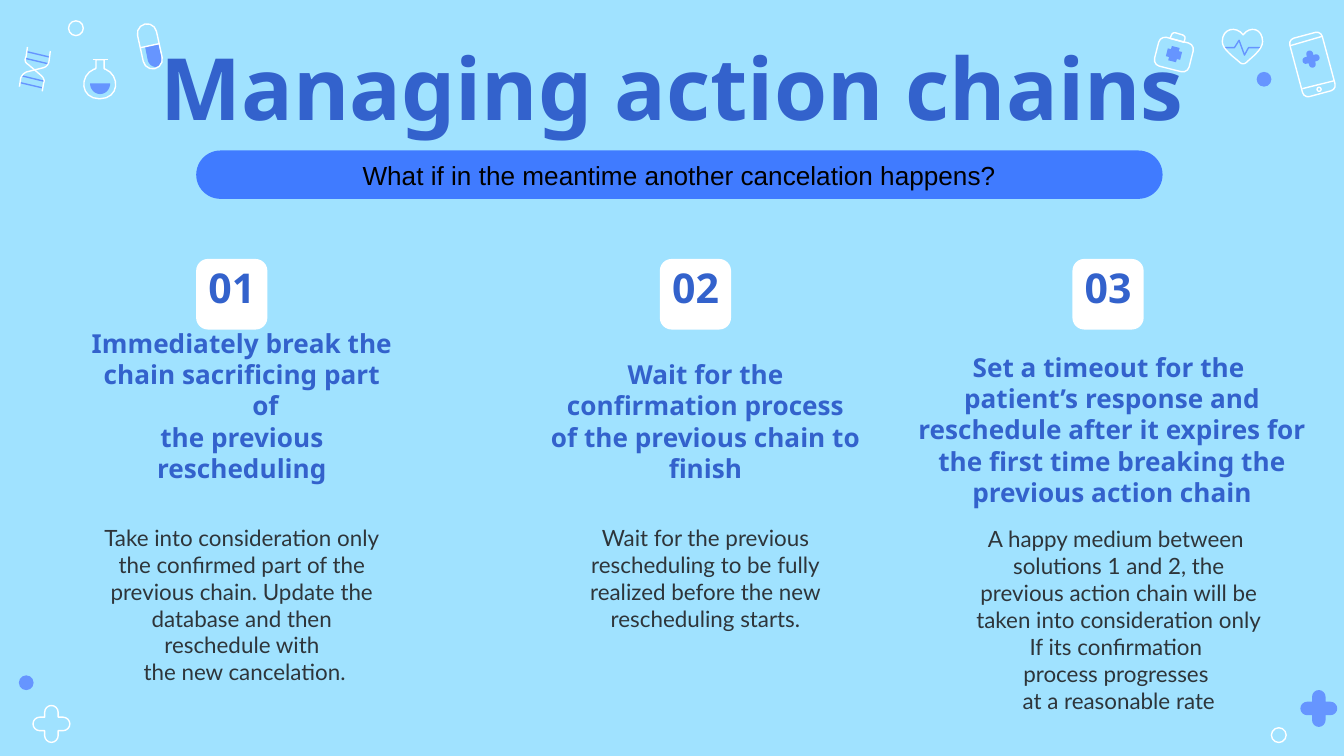
import math

import pptx
import pptx.dml.color
import pptx.enum.shapes
import pptx.enum.text
import pptx.oxml.ns
import pptx.util
from lxml import etree

RGBColor = pptx.dml.color.RGBColor
SHAPES = pptx.enum.shapes.MSO_SHAPE
ANCHOR = pptx.enum.text.MSO_ANCHOR

SKY = RGBColor(0xA0, 0xE2, 0xFF)
WHITE = RGBColor(0xFF, 0xFF, 0xFF)
BLACK = RGBColor(0x00, 0x00, 0x00)
PERIWINKLE = RGBColor(0x66, 0x95, 0xFF)
BANNER_BLUE = RGBColor(0x40, 0x7B, 0xFF)
HEADING_BLUE = RGBColor(0x33, 0x62, 0xCC)
SLATE = RGBColor(0x2E, 0x35, 0x3A)

# The slide is a grid of 100 columns by 56.25 rows
COLUMNS, ROWS = 100, 56.25
CELL = pptx.util.Inches(0.1)

TITLE = {"name": "Noto Sans", "size": pptx.util.Pt(46), "bold": True}
NUMBER = {"name": "Noto Sans", "size": pptx.util.Pt(22), "bold": True}
HEADING = {"name": "Noto Sans", "size": pptx.util.Pt(14), "bold": True}
BODY = {"name": "Lato", "size": pptx.util.Pt(12)}
QUESTION = {"name": "Arial", "size": pptx.util.Pt(14)}

# Badge column, heading box, body box, heading lines, body lines
OPTIONS = [
    (14.6, (4, 25.9, 26.5, 14.8), (5.25, 38, 24, 14.7),
     ["Immediately break the", "chain sacrificing part of", "the previous",
      "rescheduling"],
     ["Take into consideration only", "the confirmed part of the",
      "previous chain. Update the", "database and then", "reschedule with",
      " the new cancelation."]),
    (49.1, (38.5, 25.9, 26.5, 14.8), (39.75, 38, 24, 10.6),
     ["Wait for the", "confirmation process", "of the previous chain to",
      "finish"],
     ["Wait for the previous", "rescheduling to be fully",
      "realized before the new", "rescheduling starts."]),
    (79.8, (65.6, 25.9, 32.8, 16.6), (69.7, 38.1, 25.6, 16.6),
     ["Set a timeout for the ", "patient’s response and",
      "reschedule after it expires for", "the first time breaking the",
      "previous action chain"],
     ["A happy medium between ", "solutions 1 and 2, the",
      "previous action chain will be", "taken into consideration only",
      "If its confirmation ", "process progresses ", "at a reasonable rate"]),
]


def cells(*counts):
    return [round(count * CELL) for count in counts]


def paint(shape, fill=None, line=None):
    shape.shadow.inherit = False
    if fill is None:
        shape.fill.background()
    else:
        shape.fill.solid()
        shape.fill.fore_color.rgb = fill
    if line is None:
        shape.line.fill.background()
    else:
        shape.line.color.rgb = line
        shape.line.width = pptx.util.Pt(0.75)


def add_preset(slide, kind, box, fill=None, line=None, rotation=0, corner=None):
    shape = slide.shapes.add_shape(kind, *cells(*box))
    paint(shape, fill, line)
    shape.rotation = rotation
    if corner is not None:
        shape.adjustments[0] = corner
    return shape


def add_stroke(slide, start, end, color=WHITE):
    connector = slide.shapes.add_connector(
        pptx.enum.shapes.MSO_CONNECTOR.STRAIGHT, *cells(*start, *end))
    connector.line.color.rgb = color
    connector.line.width = pptx.util.Pt(0.75)
    etree.SubElement(connector._element.spPr, pptx.oxml.ns.qn("a:effectLst"))


def add_outline(slide, points, fill=None, line=None, closed=True):
    """Points are (x, y) corners or (x1, y1, x2, y2, x, y) Bézier curves."""
    track = [points[0]]
    for point in points[1:]:
        if len(point) == 2:
            track.append(point)
            continue
        controls = [track[-1], point[:2], point[2:4], point[4:]]
        for step in range(1, 9):
            t = step / 8
            weights = [(1 - t) ** 3, 3 * t * (1 - t) ** 2,
                       3 * t * t * (1 - t), t ** 3]
            track.append(tuple(sum(w * c[axis] for w, c in zip(weights, controls))
                               for axis in (0, 1)))
    builder = slide.shapes.build_freeform(*cells(*track[0]), scale=1.0)
    builder.add_line_segments([cells(*point) for point in track[1:]], close=closed)
    paint(builder.convert_to_shape(), fill, line)


def add_cross(slide, center, reach, radius, turn=0, **colors):
    """A plus sign whose four arms end in half circles."""
    points = []
    for arm in range(4):
        angle = math.radians(90 * arm + turn)
        x = center[0] + (reach - radius) * math.cos(angle)
        y = center[1] + (reach - radius) * math.sin(angle)
        for step in range(-4, 5):
            bend = angle + step * math.pi / 8
            points.append((x + radius * math.cos(bend), y + radius * math.sin(bend)))
        corner = angle + math.pi / 4
        points.append((center[0] + radius * math.sqrt(2) * math.cos(corner),
                       center[1] + radius * math.sqrt(2) * math.sin(corner)))
    add_outline(slide, points, **colors)


def write(shape, lines, font, color, anchor=ANCHOR.TOP, bottom=1, hanging=False):
    frame = shape.text_frame
    margins = dict(zip(("margin_left", "margin_top", "margin_right",
                        "margin_bottom"), cells(1, 1, 1, bottom)))
    for name, value in {"word_wrap": True, "vertical_anchor": anchor,
                        **margins}.items():
        setattr(frame, name, value)
    for index, text in enumerate(lines):
        paragraph = frame.add_paragraph() if index else frame.paragraphs[0]
        paragraph.alignment = pptx.enum.text.PP_ALIGN.CENTER
        if hanging:
            properties = paragraph._p.get_or_add_pPr()
            for name, value in zip(("marL", "indent"), cells(5, -3.5)):
                properties.set(name, str(value))
        run = paragraph.add_run()
        run.text = text
        for name, value in font.items():
            setattr(run.font, name, value)
        run.font.color.rgb = color


def add_text(slide, box, lines, font, color, **layout):
    write(slide.shapes.add_textbox(*cells(*box)), lines, font, color, **layout)


def draw_left_icons(slide):
    # DNA
    for start, end in [((2, 3.85), (3.7, 4.25)), ((1.9, 4.35), (3.6, 4.75)),
                       ((1.65, 5.65), (3.3, 6.05)), ((1.5, 6.15), (3.2, 6.55))]:
        add_stroke(slide, start, end, PERIWINKLE)
    for strand in [
            [(2.05, 3.5), (1.95, 4.2), (1.8, 4.5, 1.9, 4.7, 2.1, 4.8),
             (3.1, 5.65), (3.25, 5.8, 3.35, 6, 3.25, 6.2), (3.15, 6.8)],
            [(3.75, 3.8), (3.65, 4.6), (3.6, 4.8, 3.45, 5, 3.2, 5.05),
             (2, 5.35), (1.75, 5.45, 1.65, 5.6, 1.55, 5.8), (1.45, 6.45)]]:
        add_outline(slide, strand, line=WHITE, closed=False)
    # Capsule
    add_outline(slide, [(10.8, 3.5), (11, 4.5), (11.1, 4.8, 11.3, 5, 11.7, 5),
                        (11.9, 4.9, 12.1, 4.6, 12, 4.2), (11.8, 3.3)],
                fill=PERIWINKLE)
    add_preset(slide, SHAPES.ROUNDED_RECTANGLE, (10.43, 1.75, 1.44, 3.4),
               line=WHITE, rotation=347.6, corner=0.5)
    add_stroke(slide, (10.45, 3.55), (11.85, 3.25))
    # Flask
    add_outline(slide, [(6.7, 6.2), (6.7, 6.6, 7, 7, 7.45, 7),
                        (7.9, 7, 8.2, 6.6, 8.2, 6.2)], fill=PERIWINKLE)
    add_outline(slide, [(7.15, 4.45), (7.15, 5), (7.15, 5.1, 7.1, 5.15, 7, 5.15),
                        (5.9, 5.6, 5.95, 7.35, 7.42, 7.35),
                        (8.9, 7.35, 8.95, 5.6, 7.85, 5.15),
                        (7.75, 5.15, 7.75, 5.1, 7.75, 5), (7.75, 4.45)], line=WHITE)
    add_stroke(slide, (6.9, 4.45), (8, 4.45))


def draw_right_icons(slide):
    # Heart with pulse
    add_outline(slide, [(91.1, 3.55), (91.85, 3.55), (92.2, 3), (92.6, 4.1),
                        (92.9, 3.55), (93.8, 3.55)], line=PERIWINKLE, closed=False)
    add_outline(slide, [(92.5, 2.6), (92, 1.9, 90.95, 2.1, 90.95, 3.1),
                        (90.95, 3.7, 91.9, 4.3, 92.2, 4.6),
                        (92.4, 4.8, 92.6, 4.8, 92.8, 4.6),
                        (93.1, 4.3, 93.95, 3.7, 93.95, 3.1),
                        (93.95, 2.1, 93, 1.9, 92.5, 2.6)], line=WHITE)
    # First-aid kit
    for box, color, corner in [((86.02, 2.96, 2.65, 2.2), None, 0.22),
                               ((87.05, 3.48, 0.6, 1.1), PERIWINKLE, 0),
                               ((86.8, 3.73, 1.1, 0.6), PERIWINKLE, 0)]:
        add_preset(slide, SHAPES.ROUNDED_RECTANGLE, box, fill=color,
                   line=None if color else WHITE, rotation=14.2, corner=corner)
    add_outline(slide, [(87.05, 2.85), (87.15, 2.65),
                        (87.2, 2.5, 87.3, 2.4, 87.5, 2.45), (88, 2.6),
                        (88.2, 2.7, 88.2, 2.8, 88.15, 2.95), (88.1, 3.15)],
                line=WHITE)
    # Phone
    add_cross(slide, (97.55, 4.4), 0.65, 0.25, turn=-15, fill=PERIWINKLE)
    add_preset(slide, SHAPES.ROUNDED_RECTANGLE, (96.4, 2.55, 2.5, 4.5),
               line=WHITE, rotation=345, corner=0.167)
    add_stroke(slide, (96, 3.4), (98.4, 2.7))
    add_stroke(slide, (96.9, 6.6), (99.3, 6))
    add_preset(slide, SHAPES.OVAL, (98, 6.5, 0.3, 0.3), line=WHITE)


def draw_dots_and_crosses(slide):
    for left, top, colors in [(5.1, 1.55, {"line": WHITE}),
                              (93.5, 5.35, {"fill": PERIWINKLE}),
                              (1.4, 50.25, {"fill": PERIWINKLE}),
                              (94.6, 54.15, {"line": WHITE})]:
        add_preset(slide, SHAPES.OVAL, (left, top, 1.1, 1.1), **colors)
    add_cross(slide, (3.83, 53.87), 1.37, 0.5, line=WHITE)
    add_cross(slide, (98.13, 52.72), 1.37, 0.5, fill=PERIWINKLE)


def add_option(slide, number, badge_left, heading_box, body_box, heading, body):
    add_preset(slide, SHAPES.ROUNDED_RECTANGLE, (badge_left, 19.27, 5.3, 5.25),
               fill=WHITE, corner=0.167)
    add_text(slide, body_box, body, BODY, SLATE, hanging=True)
    add_text(slide, heading_box, heading, HEADING, HEADING_BLUE,
             anchor=ANCHOR.BOTTOM, bottom=4.7, hanging=True)
    add_text(slide, (badge_left - 1.1, 19.62, 7.5, 3.5), [f"{number:02}"],
             NUMBER, HEADING_BLUE, anchor=ANCHOR.MIDDLE)


def main():
    presentation = pptx.Presentation()
    presentation.slide_width, presentation.slide_height = cells(COLUMNS, ROWS)
    slide = presentation.slides.add_slide(presentation.slide_layouts[6])
    slide.background.fill.solid()
    slide.background.fill.fore_color.rgb = SKY

    # Medical decoration
    draw_left_icons(slide)
    draw_right_icons(slide)
    draw_dots_and_crosses(slide)

    # Title and question
    add_text(slide, (7.8, 1.6, 84.4, 9.4), ["Managing action chains"], TITLE,
             HEADING_BLUE)
    banner = add_preset(slide, SHAPES.ROUNDED_RECTANGLE, (14.6, 11.2, 71.9, 3.6),
                        fill=BANNER_BLUE, corner=0.5)
    write(banner, ["What if in the meantime another cancelation happens?"],
          QUESTION, BLACK, anchor=ANCHOR.MIDDLE)

    # Three options
    for number, option in enumerate(OPTIONS, start=1):
        add_option(slide, number, *option)

    presentation.save("out.pptx")


if __name__ == "__main__":
    main()
